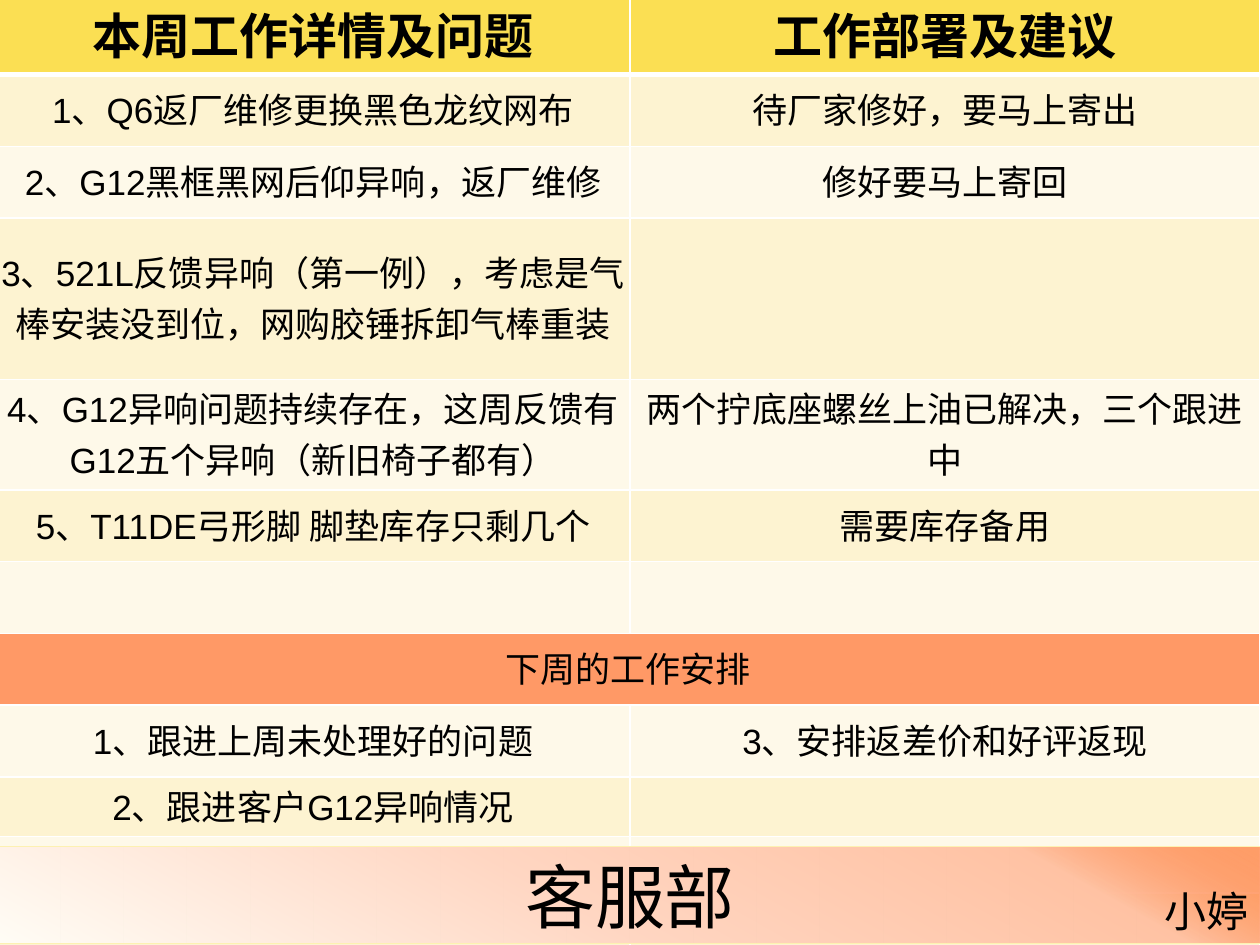
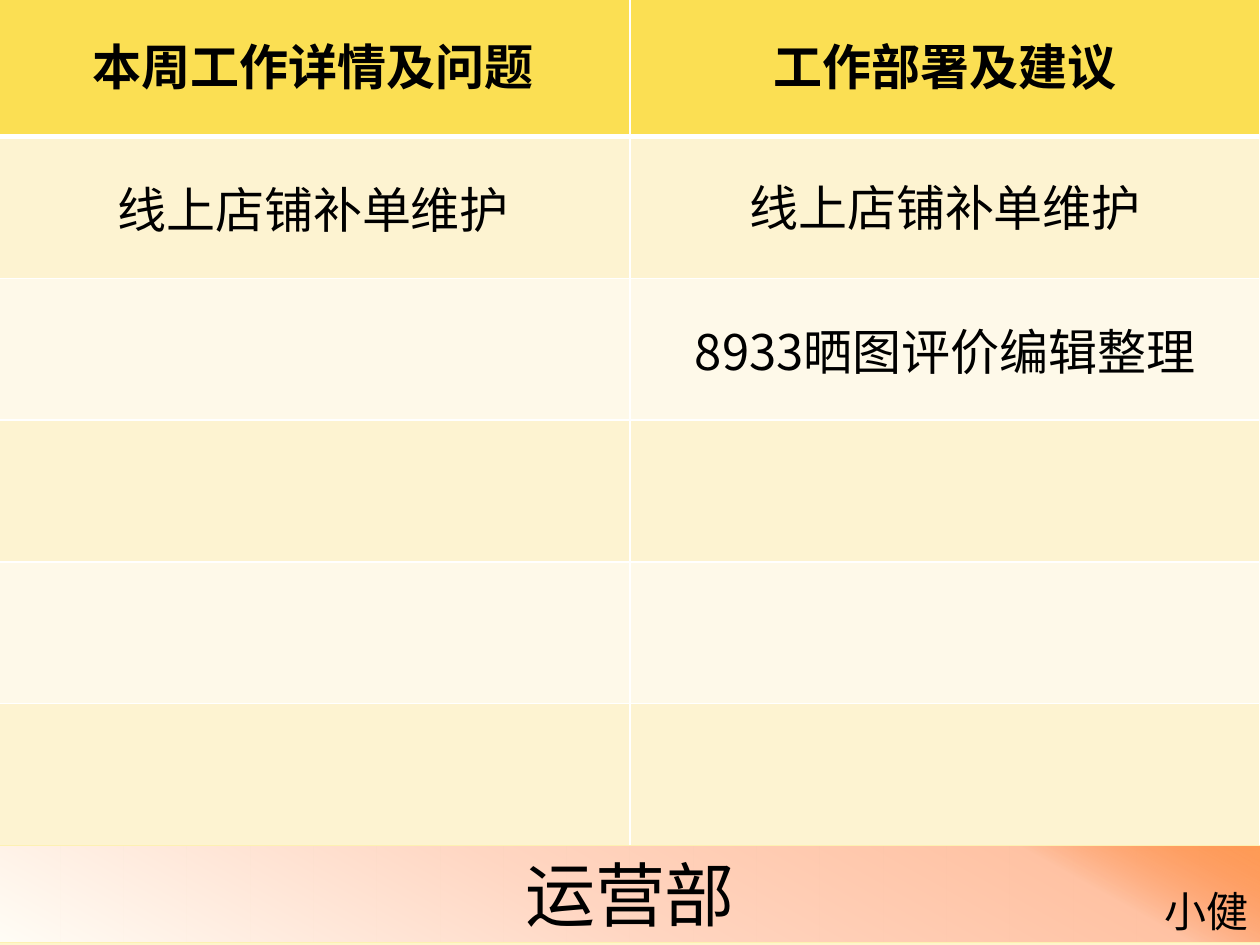
from dataclasses import dataclass, field

from lxml.etree import SubElement
from pptx import Presentation
from pptx.dml.color import RGBColor
from pptx.enum.text import MSO_ANCHOR, MSO_AUTO_SIZE, PP_ALIGN
from pptx.oxml.ns import qn
from pptx.util import Inches, Pt


@dataclass(frozen=True)
class Stop:
    """One gradient stop: position and opacity in percent."""
    position: int
    color: str
    opacity: int = 100


@dataclass(frozen=True)
class Theme:
    """Colours, fonts and type sizes of the deck."""
    ink: str = "000000"
    grid: str = "FFFFFF"
    header: str = "FBDF53"
    section: str = "FF9966"
    stripes: tuple = ("FEF9E9", "FDF3D1")
    band_line: str = "FDF1B2"
    page_stops: tuple = (Stop(0, "FFFDF6"), Stop(74, "FDF1B2"),
                         Stop(83, "FDF1B2"), Stop(100, "FEF5CB"))
    band_stops: tuple = (Stop(0, "FFFDF6"), Stop(45, "FFD6C2"),
                         Stop(83, "FFC2A3"), Stop(100, "FF5D0D", 58))
    cjk_font: str = "Noto Sans CJK SC"
    latin_font: str = "Arial"
    title_size: int = 40
    name_size: int = 24
    header_size: int = 28
    item_size: int = 20


@dataclass(frozen=True)
class Cell:
    """Text of a table cell; roomy cells keep the default margins."""
    text: str = ""
    roomy: bool = False


@dataclass(frozen=True)
class Report:
    """Weekly report of one department."""
    department: str
    author: str
    band_top: float
    row_heights: list
    body_font: str
    body_size: int
    rows: list = field(default_factory=list)
    section_row: int = 0


THEME = Theme()
WIDTH, HEIGHT = 10, 7.5
TABLE_LEFT, TABLE_TOP = -0.03, -0.04
COLUMNS = (5.03, 5)
CELL_MARGIN = 0.02
BAND_HEIGHT = 0.77
HEADINGS = (Cell("本周工作详情及问题"), Cell("工作部署及建议"))
EMPTY = (Cell(), Cell())

REPORTS = (
    Report("客服部", "小婷", 6.72, [0.53] + [0.57] * 8 + [0.45] * 3,
           THEME.latin_font, THEME.item_size, [
               (Cell("1、Q6返厂维修更换黑色龙纹网布"), Cell("待厂家修好，要马上寄出")),
               (Cell("2、G12黑框黑网后仰异响，返厂维修"), Cell("修好要马上寄回")),
               (Cell("3、521L反馈异响（第一例），考虑是气棒安装没到位，"
                     "网购胶锤拆卸气棒重装"), Cell()),
               (Cell("4、G12异响问题持续存在，这周反馈有G12五个异响（新旧椅子都有）"),
                Cell("两个拧底座螺丝上油已解决，三个跟进中")),
               (Cell("5、T11DE弓形脚 脚垫库存只剩几个"), Cell("需要库存备用")),
               EMPTY,
               (Cell("下周的工作安排"), Cell()),
               (Cell("1、跟进上周未处理好的问题"), Cell("3、安排返差价和好评返现")),
               (Cell("2、跟进客户G12异响情况"), Cell()),
               EMPTY, EMPTY], section_row=7),
    Report("运营部", "小健", 6.71, [6.75 / 6] * 6,
           THEME.cjk_font, THEME.header_size, [
               (Cell("线上店铺补单维护", roomy=True), Cell("线上店铺补单维护")),
               (Cell(), Cell("8933晒图评价编辑整理", roomy=True)),
               EMPTY, EMPTY, EMPTY]),
)


def set_gradient(fill, owner, stops: tuple, angle: int) -> None:
    """Give a fill inside the owner element a linear gradient, clockwise angle."""
    fill.gradient()
    gradient = owner.find(".//" + qn("a:gradFill"))
    for child in list(gradient):
        gradient.remove(child)
    stop_list = SubElement(gradient, qn("a:gsLst"))
    for stop in stops:
        mark = SubElement(stop_list, qn("a:gs"), pos=str(stop.position * 1000))
        color = SubElement(mark, qn("a:srgbClr"), val=stop.color)
        if stop.opacity < 100:
            SubElement(color, qn("a:alpha"), val=str(stop.opacity * 1000))
    SubElement(gradient, qn("a:lin"), ang=str(angle * 60000), scaled="0")


def write(frame, text: str, size: int, align, font: str = THEME.cjk_font,
          bold: bool = False) -> None:
    """Write one formatted run into the first paragraph of a text frame."""
    para = frame.paragraphs[0]
    para.alignment = align
    span = para.add_run()
    span.text = text
    span.font.size = Pt(size)
    span.font.bold = bold
    span.font.color.rgb = RGBColor.from_string(THEME.ink)
    span.font.name = font
    properties = span.font._element
    east_asian = SubElement(properties, qn("a:ea"), typeface=THEME.cjk_font)
    properties.find(qn("a:latin")).addnext(east_asian)


def set_borders(cell, top: int, bottom: int) -> None:
    """Draw the four grid lines of a cell; widths in points."""
    properties = cell._tc.get_or_add_tcPr()
    sides = (("a:lnL", 1), ("a:lnR", 1), ("a:lnT", top), ("a:lnB", bottom))
    for index, (tag, width) in enumerate(sides):
        line = SubElement(properties, qn(tag), w=str(Pt(width)))
        solid = SubElement(line, qn("a:solidFill"))
        SubElement(solid, qn("a:srgbClr"), val=THEME.grid)
        properties.insert(index, line)


def fill_color(report: Report, row: int) -> str:
    """Choose the fill of a table row."""
    if row == 0:
        return THEME.header
    if row == report.section_row:
        return THEME.section
    return THEME.stripes[row % 2]


def add_report_table(page, report: Report) -> None:
    """Add the table of work items and follow-ups."""
    heights = report.row_heights
    table = page.shapes.add_table(
        len(heights), len(COLUMNS), Inches(TABLE_LEFT), Inches(TABLE_TOP),
        Inches(sum(COLUMNS)), Inches(sum(heights))).table
    for column, width in zip(table.columns, COLUMNS):
        column.width = Inches(width)
    for row, height in zip(table.rows, heights):
        row.height = Inches(height)
    for row, contents in enumerate([HEADINGS, *report.rows]):
        for column, content in enumerate(contents):
            cell = table.cell(row, column)
            cell.fill.solid()
            cell.fill.fore_color.rgb = RGBColor.from_string(fill_color(report, row))
            set_borders(cell, 3 if row == 1 else 1, 3 if row == 0 else 1)
            if not content.text:
                continue
            cell.vertical_anchor = MSO_ANCHOR.MIDDLE
            if not content.roomy:
                cell.margin_left = cell.margin_right = Inches(CELL_MARGIN)
                cell.margin_top = Inches(CELL_MARGIN)
            if row == 0:
                write(cell.text_frame, content.text, THEME.header_size,
                      PP_ALIGN.CENTER, bold=True)
            else:
                write(cell.text_frame, content.text, report.body_size,
                      PP_ALIGN.CENTER, report.body_font)
    if report.section_row:
        table.cell(report.section_row, 0).merge(table.cell(report.section_row, 1))


def add_band(page, report: Report) -> None:
    """Turn the title into the department band and sign it with the author."""
    band = page.shapes.title
    page.shapes._spTree.append(band._element)
    band.left, band.top = Inches(-0.02), Inches(report.band_top)
    band.width, band.height = Inches(WIDTH + 0.04), Inches(BAND_HEIGHT)
    set_gradient(band.fill, band._element.spPr, THEME.band_stops, 299)
    band.line.color.rgb = RGBColor.from_string(THEME.band_line)
    band.line.width = Pt(0.75)
    band.text_frame.auto_size = MSO_AUTO_SIZE.NONE
    band.text_frame.vertical_anchor = MSO_ANCHOR.MIDDLE
    write(band.text_frame, report.department, THEME.title_size, PP_ALIGN.CENTER)

    box = page.shapes.add_textbox(Inches(9.14), Inches(6.98), Inches(0.87), Inches(0.5))
    box.text_frame.word_wrap = False
    write(box.text_frame, report.author, THEME.name_size, PP_ALIGN.RIGHT)


def build() -> None:
    """Build and save the deck."""
    deck = Presentation()
    deck.slide_width, deck.slide_height = Inches(WIDTH), Inches(HEIGHT)
    master = deck.slide_master
    set_gradient(master.background.fill, master.element, THEME.page_stops, 90)
    title_only = deck.slide_layouts.get_by_name("Title Only")
    for report in REPORTS:
        page = deck.slides.add_slide(title_only)
        add_report_table(page, report)
        add_band(page, report)
    deck.save("out.pptx")


build()
